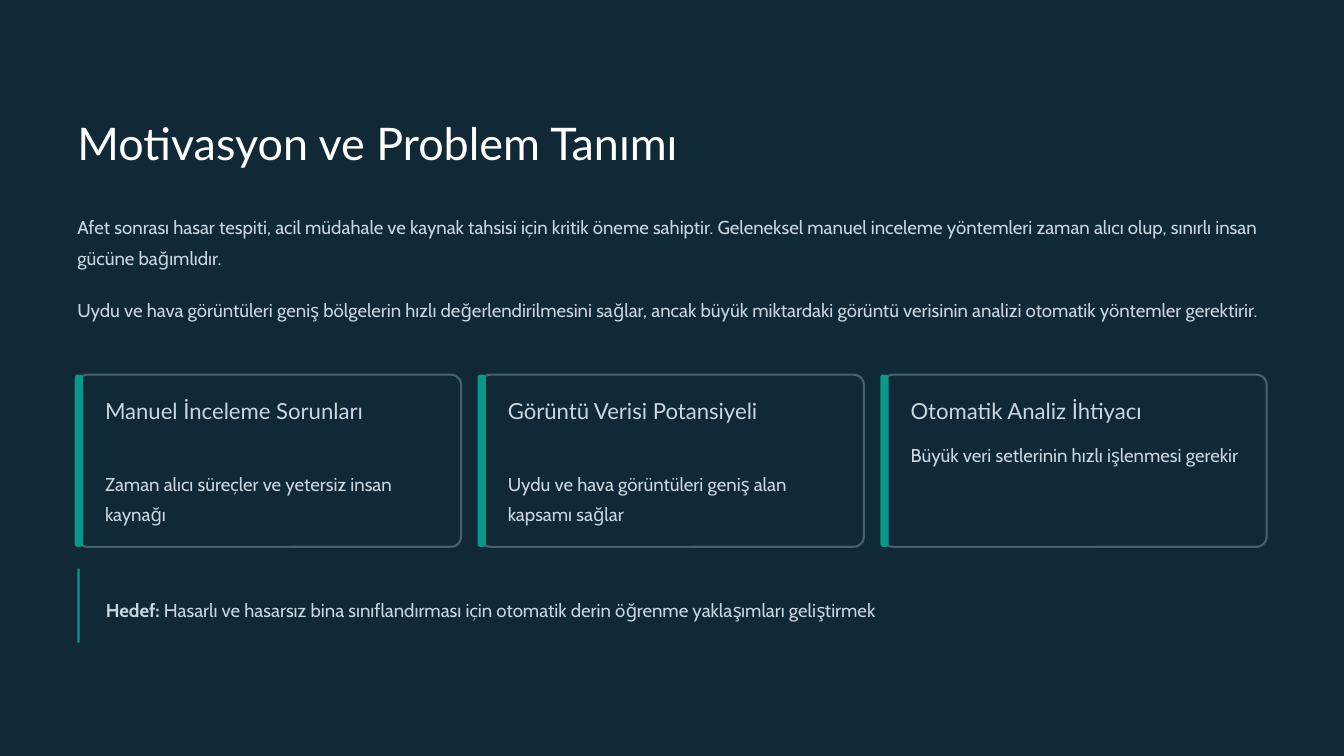
"""Builds the motivation and problem definition slide."""
import pptx
import pptx.dml.color
import pptx.enum.shapes
import pptx.enum.text
import pptx.oxml
import pptx.util

Inches = pptx.util.Inches
Pt = pptx.util.Pt
SHAPES = pptx.enum.shapes.MSO_SHAPE

THEME = {
    "background": "112836", "border": "49606E", "accent": "0A988B",
    "title": {"font": "Lato", "size": 38.5, "line": 48.5, "color": "FFFFFF"},
    "heading": {"font": "Lato", "size": 19, "line": 24, "color": "CAD6DE"},
    "body": {"font": "Cabin", "size": 16, "line": 26, "color": "CAD6DE"},
}


def style_text(box, style):
    frame = box.text_frame
    frame.word_wrap = True
    frame.auto_size = pptx.enum.text.MSO_AUTO_SIZE.NONE
    frame.vertical_anchor = pptx.enum.text.MSO_ANCHOR.TOP
    frame.margin_left = frame.margin_right = frame.margin_top = frame.margin_bottom = 0
    for para in frame.paragraphs:
        para.alignment = pptx.enum.text.PP_ALIGN.LEFT
        para.line_spacing = Pt(style["line"])
        para.space_before = Pt(0)
        for span in para.runs:
            span.font.name = style["font"]
            span.font.size = Pt(style["size"])
            span.font.color.rgb = pptx.dml.color.RGBColor.from_string(style["color"])


def add_panel(kind, left, top, width, height, fill, border=None):
    panel = page.shapes.add_shape(kind, Inches(left), Inches(top), Inches(width), Inches(height))
    panel.shadow.inherit = False
    panel.fill.solid()
    panel.fill.fore_color.rgb = pptx.dml.color.RGBColor.from_string(fill)
    if border:
        panel.line.color.rgb = pptx.dml.color.RGBColor.from_string(border)
        panel.line.width = Pt(1.8)
    else:
        panel.line.fill.background()
    return panel


deck = pptx.Presentation()
deck.slide_width = Inches(16)
deck.slide_height = Inches(9)
page = deck.slides.add_slide(deck.slide_layouts.get_by_name("Title and Content"))
page.background.fill.solid()
page.background.fill.fore_color.rgb = pptx.dml.color.RGBColor.from_string(THEME["background"])

left_edge, right_edge = 0.92, 15.08

title = page.shapes.title
title.left, title.top, title.width, title.height = map(Inches, (left_edge, 1.35, 14.17, 0.67))
title.text_frame.text = "Motivasyon ve Problem Tanımı"
style_text(title, THEME["title"])

intro = page.placeholders[1]
intro.left, intro.top, intro.width, intro.height = map(Inches, (left_edge, 2.48, 14.17, 1.72))
intro.text_frame.text = (
    "Afet sonrası hasar tespiti, acil müdahale ve kaynak tahsisi için kritik öneme sahiptir. "
    "Geleneksel manuel inceleme yöntemleri zaman alıcı olup, sınırlı insan gücüne bağımlıdır.\n"
    "Uydu ve hava görüntüleri geniş bölgelerin hızlı değerlendirilmesini sağlar, "
    "ancak büyük miktardaki görüntü verisinin analizi otomatik yöntemler gerektirir."
)
for para in intro.text_frame.paragraphs:
    properties = para._p.get_or_add_pPr()
    properties.set("marL", "0")
    properties.set("indent", "0")
    properties.append(pptx.oxml.parse_xml(
        '<a:buNone xmlns:a="http://schemas.openxmlformats.org/drawingml/2006/main"/>'))
style_text(intro, THEME["body"])
intro.text_frame.paragraphs[1].space_before = Pt(19)

cards = [
    ("Manuel İnceleme Sorunları", "Zaman alıcı süreçler ve yetersiz insan kaynağı", 5.53),
    ("Görüntü Verisi Potansiyeli", "Uydu ve hava görüntüleri geniş alan kapsamı sağlar", 5.53),
    ("Otomatik Analiz İhtiyacı", "Büyük veri setlerinin hızlı işlenmesi gerekir", 5.19),
]
card_top, card_width, card_height = 4.46, 4.57, 2.05
card_step = (right_edge - card_width - left_edge) / (len(cards) - 1)

for index, (heading, detail, detail_top) in enumerate(cards):
    left = left_edge + index * card_step
    card = add_panel(SHAPES.ROUNDED_RECTANGLE, left, card_top, card_width, card_height,
                     THEME["background"], THEME["border"])
    card.adjustments[0] = 0.06
    stripe = add_panel(SHAPES.ROUNDED_RECTANGLE, left - 0.03, card_top, 0.1, card_height,
                       THEME["accent"])
    stripe.adjustments[0] = 0.34
    for text, top, height, style in ((heading, 4.71, 0.34, "heading"),
                                     (detail, detail_top, 0.73, "body")):
        box = page.shapes.add_textbox(Inches(left + 0.33), Inches(top), Inches(3.99), Inches(height))
        box.text_frame.text = text
        style_text(box, THEME[style])

goal = page.shapes.add_textbox(Inches(1.26), Inches(7.03), Inches(13.82), Inches(0.37))
goal.text_frame.text = "Hedef:"
goal_para = goal.text_frame.paragraphs[0]
goal_para.add_run().text = (
    " Hasarlı ve hasarsız bina sınıflandırması için otomatik derin öğrenme yaklaşımları geliştirmek"
)
style_text(goal, THEME["body"])
goal_para.runs[0].font.bold = True
add_panel(SHAPES.RECTANGLE, left_edge, 6.77, 0.03, 0.88, THEME["accent"])

deck.save("out.pptx")
